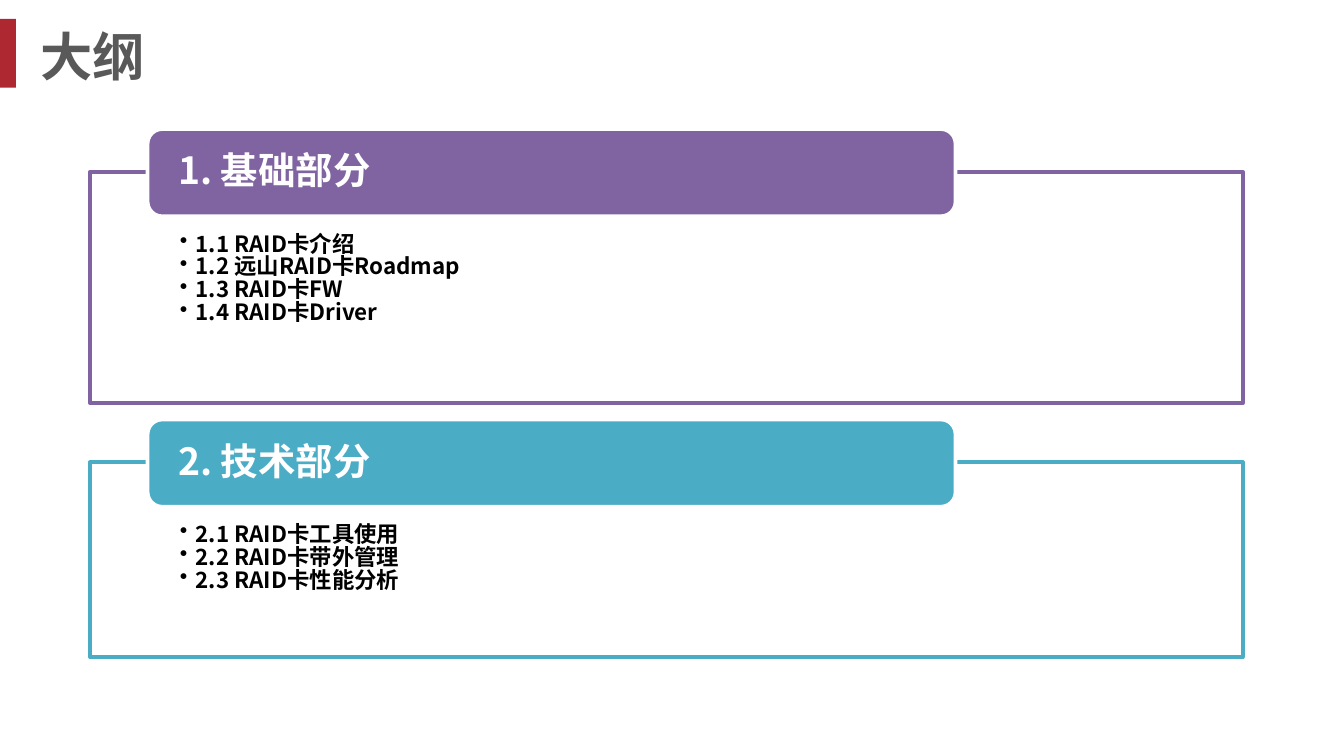
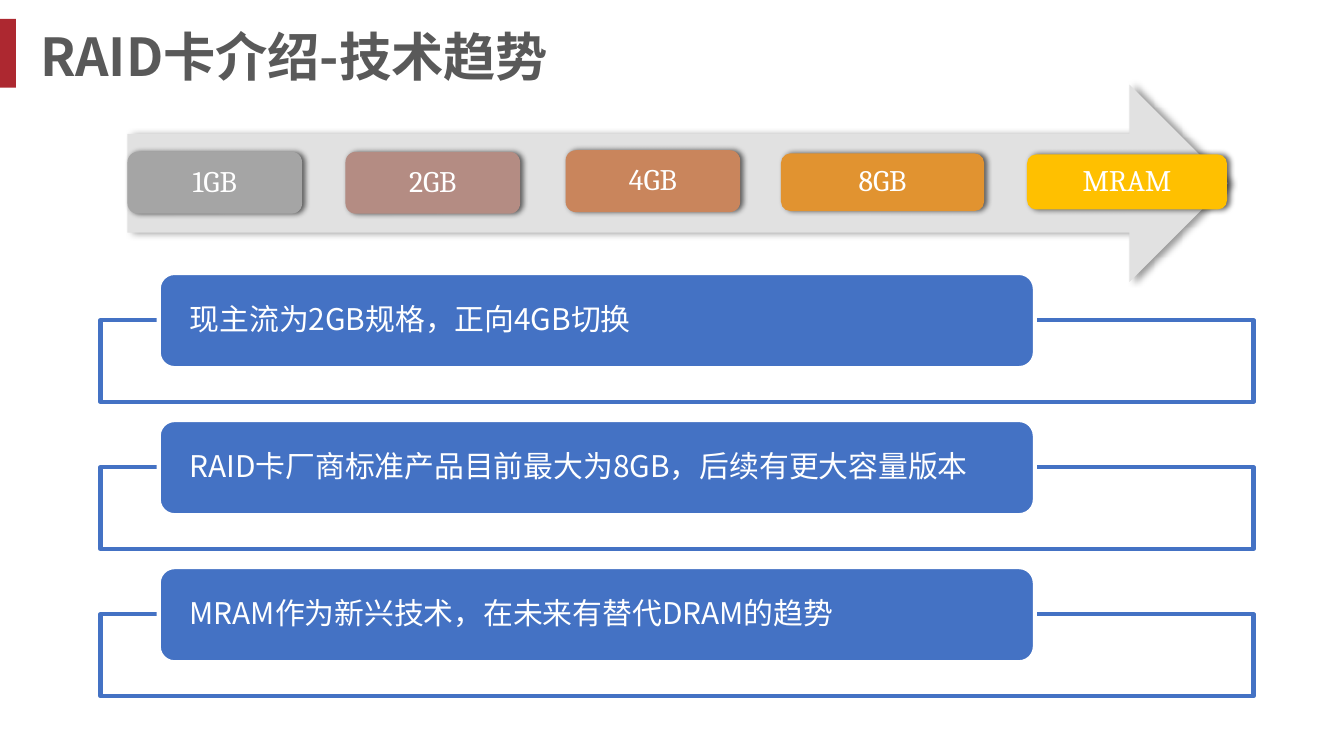
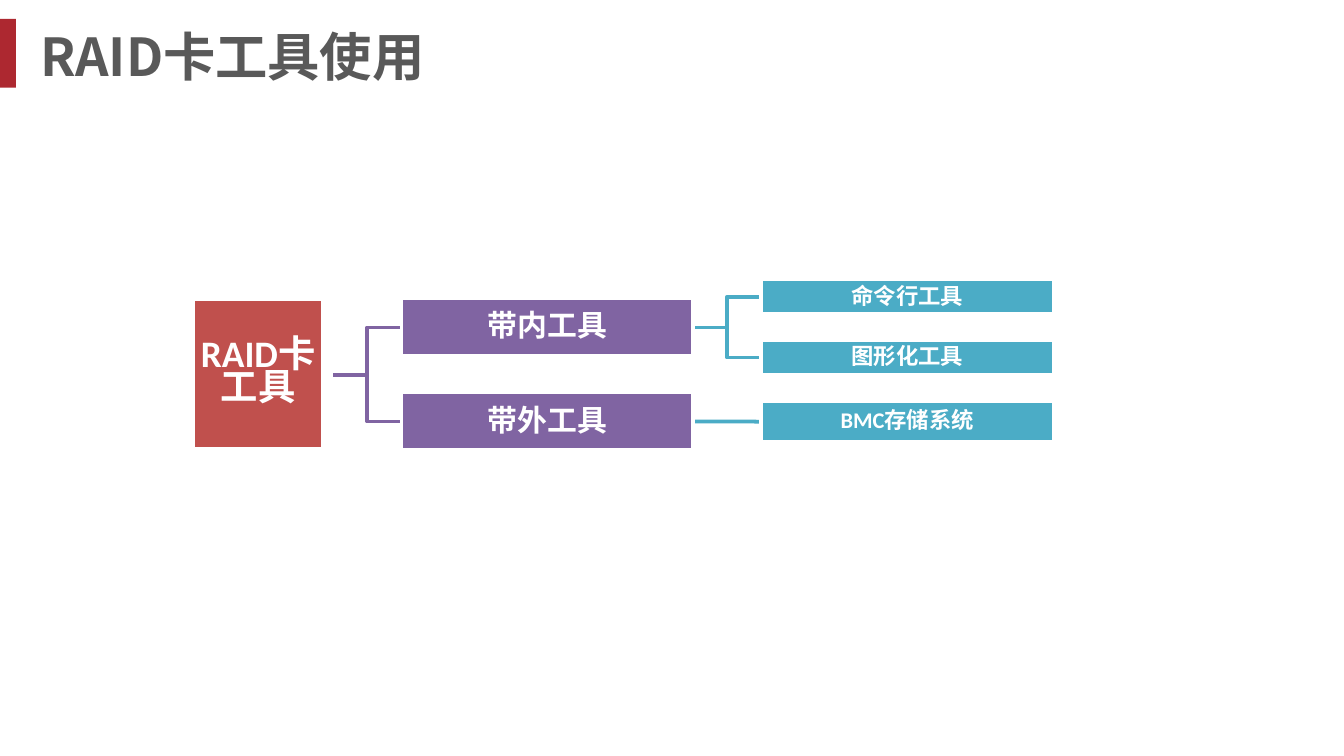
"""Build three slides on RAID cards: outline, memory trend and tools."""
from lxml import etree
from pptx import Presentation
from pptx.dml.color import RGBColor
from pptx.enum.shapes import MSO_CONNECTOR, MSO_SHAPE
from pptx.enum.text import MSO_ANCHOR, MSO_AUTO_SIZE, PP_ALIGN
from pptx.oxml.ns import qn
from pptx.util import Cm, Pt

RECT, ROUND, ARROW = MSO_SHAPE.RECTANGLE, MSO_SHAPE.ROUNDED_RECTANGLE, MSO_SHAPE.RIGHT_ARROW
LEFT, CENTER = PP_ALIGN.LEFT, PP_ALIGN.CENTER
TOP, MIDDLE = MSO_ANCHOR.TOP, MSO_ANCHOR.MIDDLE
STRAIGHT = MSO_CONNECTOR.STRAIGHT
NO_FIT = MSO_AUTO_SIZE.NONE
SANS = "Noto Sans CJK SC"
HUE = {
    "white": "FFFFFF", "black": "000000", "title": "595959", "bar": "AD2830",
    "purple": "8064A2", "teal": "4BACC6", "blue": "4472C4", "red": "C0504D",
    "arrow": "E1E1E1", "gray": "A5A5A5", "rose": "B48C83", "clay": "C9855C",
    "amber": "E19330", "gold": "FFC000",
}


def write(frame, lines, font, hue="white", pad=(0.03, 0.03, 0.03, 0.03),
          align=CENTER, anchor=MIDDLE, space=0.9, bullet=False):
    """Fill a text frame with evenly styled paragraphs."""
    sides = ("margin_left", "margin_top", "margin_right", "margin_bottom")
    look = {"word_wrap": True, "auto_size": NO_FIT, "vertical_anchor": anchor}
    look.update((side, Cm(gap)) for side, gap in zip(sides, pad))
    for key, value in look.items():
        setattr(frame, key, value)
    for num, line in enumerate(lines):
        para = frame.add_paragraph() if num else frame.paragraphs[0]
        for key, value in {"alignment": align, "line_spacing": space, "space_before": Pt(0)}.items():
            setattr(para, key, value)
        if bullet:
            props = para._p.get_or_add_pPr()
            props.set("marL", str(Cm(0.3)))
            props.set("indent", str(-Cm(0.3)))
            etree.SubElement(props, qn("a:buChar"), char="•")
        run = para.add_run()
        run.text = line
        for key, value in font.items():
            setattr(run.font, key, value)
        run.font.color.rgb = RGBColor.from_string(HUE[hue])
        etree.SubElement(run._r.get_or_add_rPr(), qn("a:ea"), typeface=SANS)


def draw(slide, kind, place, fill, line=None, width=2, shade=None):
    """Add a filled shape, with a line and a shadow if asked."""
    shape = slide.shapes.add_shape(kind, *map(Cm, place))
    shape.fill.solid()
    shape.fill.fore_color.rgb = RGBColor.from_string(HUE[fill])
    if line:
        shape.line.color.rgb = RGBColor.from_string(HUE[line])
        shape.line.width = Pt(width)
    else:
        shape.line.fill.background()
    shape.shadow.inherit = False
    if shade:
        blur, dist, alpha = shade
        glow = etree.SubElement(shape._element.spPr.find(qn("a:effectLst")), qn("a:outerShdw"),
                                blurRad=str(Pt(blur)), dist=str(Pt(dist)), dir="0",
                                algn="ctr", rotWithShape="0")
        tone = etree.SubElement(glow, qn("a:srgbClr"), val=HUE["black"])
        etree.SubElement(tone, qn("a:alpha"), val=str(alpha * 1000))
    return shape


deck = Presentation()
deck.slide_width, deck.slide_height = Cm(25.4), Cm(14.29)
layout = deck.slide_layouts[5]

slides = []
for name in ("大纲", "RAID卡介绍-技术趋势", "RAID卡工具使用"):
    slide = deck.slides.add_slide(layout)
    title = slide.shapes.title
    for key, value in {"left": 0.51, "top": 0.36, "width": 20.6, "height": 1.4}.items():
        setattr(title, key, Cm(value))
    write(title.text_frame, [name], {"name": SANS, "size": Pt(28), "bold": True}, "title",
          (0.25, 0.13, 0.25, 0.13), LEFT, space=1.0)
    slides.append(slide)
plan, trend, tools = slides

bar = draw(plan, RECT, (0, 0.36, 0.3, 1.3), "bar")
bar.element.nvSpPr.cNvPr.set("id", "20")
layout.shapes.element.append(bar.element)

parts = [
    ("1. 基础部分", "purple", 3.25, 4.37,
     ["1.1 RAID卡介绍", "1.2 远山RAID卡Roadmap", "1.3 RAID卡FW", "1.4 RAID卡Driver"]),
    ("2. 技术部分", "teal", 8.74, 3.68,
     ["2.1 RAID卡工具使用", "2.2 RAID卡带外管理", "2.3 RAID卡性能分析"]),
]
for head, hue, top, high, items in parts:
    panel = draw(plan, RECT, (1.7, top, 21.79, high), "white", hue)
    write(panel.text_frame, items, {"name": SANS, "size": Pt(12), "bold": True}, "black",
          (1.7, 1.17, 1.7, 0.23), LEFT, TOP, 0.85, True)
    tag = draw(plan, ROUND, (2.79, top - 0.81, 15.27, 1.65), hue, "white")
    write(tag.text_frame, [head], {"name": SANS, "size": Pt(20), "bold": True},
          pad=(0.5, 0, 0.5, 0), align=LEFT)

notes = [
    "现主流为2GB规格，正向4GB切换",
    "RAID卡厂商标准产品目前最大为8GB，后续有更大容量版本",
    "MRAM作为新兴技术，在未来有替代DRAM的趋势",
]
for row, note in enumerate(notes):
    top = 6.05 + 2.78 * row
    draw(trend, RECT, (1.9, top, 21.79, 1.55), "white", "blue", 2.25)
    tag = draw(trend, ROUND, (3.0, top - 0.89, 16.56, 1.8), "blue", "white", 2.25)
    write(tag.text_frame, [note], {"name": SANS, "size": Pt(16), "bold": False},
          pad=(0.5, 0, 0.2, 0), align=LEFT)

draw(trend, ARROW, (2.41, 1.6, 20.8, 3.73), "arrow", shade=(3.1, 1.8, 40))
steps = [
    ("1GB", "gray", (2.41, 2.87, 3.3, 1.17)),
    ("2GB", "rose", (6.53, 2.87, 3.3, 1.17)),
    ("4GB", "clay", (10.69, 2.84, 3.3, 1.17)),
    ("8GB", "amber", (14.76, 2.9, 3.84, 1.09)),
    ("MRAM", "gold", (19.41, 2.92, 3.78, 1.04)),
]
for label, hue, place in steps:
    step = draw(trend, ROUND, place, hue, shade=(3, 1.5, 60))
    write(step.text_frame, [label], {"name": "Cambria", "size": Pt(16), "bold": False})

link = tools.shapes.add_connector(STRAIGHT, Cm(13.1), Cm(7.97), Cm(14.38), Cm(7.97))
etree.SubElement(link._element.spPr, qn("a:effectLst"))
lines = [(link, "teal")]
elbows = [
    (6.3, 7.09, 7.97, "purple"), (6.3, 7.09, 6.19, "purple"),
    (13.1, 6.19, 6.76, "teal"), (13.1, 6.19, 5.61, "teal"),
]
for left, start, end, hue in elbows:
    mid, right = left + 0.64, left + 1.28
    trace = tools.shapes.build_freeform(Cm(left), Cm(start))
    trace.add_line_segments([(Cm(x), Cm(y)) for x, y in ((mid, start), (mid, end), (right, end))],
                            close=False)
    elbow = trace.convert_to_shape()
    elbow.fill.background()
    elbow.shadow.inherit = False
    lines.append((elbow, hue))
for line, hue in lines:
    line.line.color.rgb = RGBColor.from_string(HUE[hue])
    line.line.width = Pt(2)

nodes = [
    ("RAID卡工具", "red", 20, 0.75, (3.66, 5.66, 2.44, 2.82)),
    ("带内工具", "purple", 16, 0.9, (7.59, 5.64, 5.51, 1.09)),
    ("命令行工具", "teal", 12, 0.9, (14.38, 5.28, 5.54, 0.66)),
    ("图形化工具", "teal", 12, 0.9, (14.38, 6.43, 5.54, 0.66)),
    ("带外工具", "purple", 16, 0.9, (7.59, 7.42, 5.51, 1.09)),
    ("BMC存储系统", "teal", 12, 0.9, (14.38, 7.59, 5.54, 0.76)),
]
boxes = {}
for label, hue, size, space, place in nodes:
    boxes[label] = draw(tools, RECT, place, hue, "white")
    write(boxes[label].text_frame, [label], {"name": "Calibri", "size": Pt(size), "bold": True},
          space=space)
link.begin_connect(boxes["带外工具"], 3)
link.end_connect(boxes["BMC存储系统"], 1)

deck.save("out.pptx")
